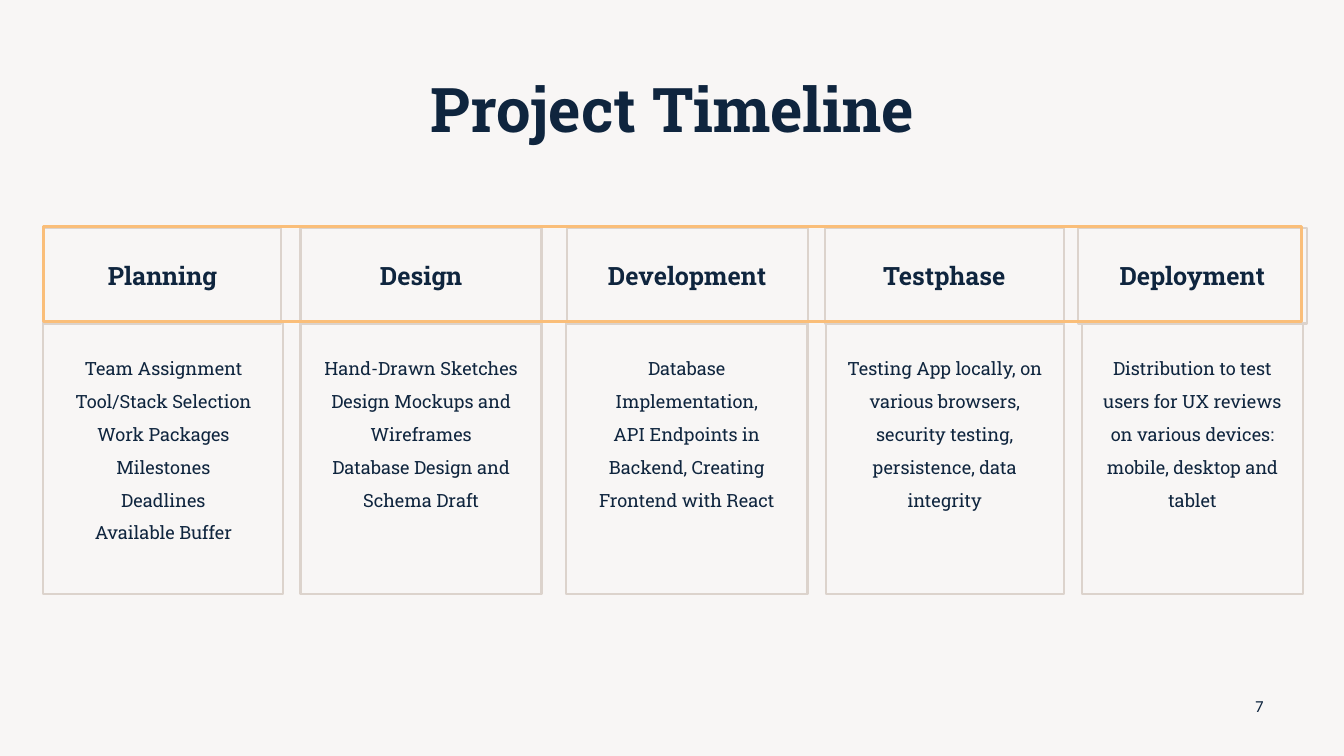
"""Build the project timeline slide: five phases under one highlighted band."""
from dataclasses import dataclass

import pptx
import pptx.dml.color
import pptx.enum.shapes
import pptx.enum.text
import pptx.util


@dataclass(frozen=True)
class Theme:
    """Hold the slide size, colours, fonts and type sizes."""
    width: float = 13.33
    height: float = 7.5
    paper: str = "F8F6F5"
    ink: str = "0F253E"
    frame: str = "DCD3CC"
    accent: str = "FABE79"
    slab: str = "Roboto Slab"
    plain: str = "Calibri"
    title: int = 44
    heading: int = 18
    body: int = 13
    number: int = 12


THEME = Theme()
HEADING_ROW = (30.13, 12.67)
BODY_ROW = (42.67, 35.87)
BAND = (3.23, 30, 93.62, 12.53)
TITLE_AREA = (27.38, 8.67, 45.31, 12.53)
NUMBER_AREA = (91.82, 90.67, 3.75, 5.33)

PHASES = [
    ("Planning", (3.23, 17.7), (3.23, 17.85),
     ["Team Assignment", "Tool/Stack Selection", "Work Packages",
      "Milestones", "Deadlines", "Available Buffer"]),
    ("Design", (22.36, 17.93), (22.36, 17.93),
     ["Hand-Drawn Sketches", "Design Mockups and Wireframes",
      "Database Design and Schema Draft"]),
    ("Development", (42.16, 17.93), (42.09, 18),
     ["Database Implementation,",
      "API Endpoints in Backend, Creating Frontend with React"]),
    ("Testphase", (61.37, 17.78), (61.44, 17.7),
     ["Testing App locally, on various browsers, security testing, "
      "persistence, data integrity"]),
    ("Deployment", (80.2, 17.03), (80.5, 16.43),
     ["Distribution to test users for UX reviews",
      "on various devices: mobile, desktop and tablet"]),
]


def colour(value):
    """Return a colour object for a hex value."""
    return pptx.dml.color.RGBColor.from_string(value)


def apply(target, formats):
    """Set each named attribute on the target."""
    for name, value in formats.items():
        setattr(target, name, value)


def place(area):
    """Turn percentages of the slide into left, top, width and height."""
    sides = (THEME.width, THEME.height) * 2
    return [pptx.util.Inches(share * side / 100) for share, side in zip(area, sides)]


def write(box, lines, size, font=THEME.slab, bold=False, spacing=1.0, top=None):
    """Write centred paragraphs; a top inset anchors them to the top."""
    anchors = pptx.enum.text.MSO_ANCHOR
    frame = box.text_frame
    apply(frame, {
        "word_wrap": True,
        "vertical_anchor": anchors.MIDDLE if top is None else anchors.TOP,
        "margin_top": pptx.util.Inches(0.05 if top is None else top),
    })
    for index, line in enumerate(lines):
        para = frame.add_paragraph() if index else frame.paragraphs[0]
        apply(para, {"alignment": pptx.enum.text.PP_ALIGN.CENTER,
                     "line_spacing": spacing})
        span = para.add_run()
        span.text = line
        apply(span.font, {"name": font, "size": pptx.util.Pt(size), "bold": bold})
        span.font.color.rgb = colour(THEME.ink)


def add_text(page, area, text, size, **formats):
    """Add a text box with one line of text."""
    write(page.shapes.add_textbox(*place(area)), [text], size, **formats)


def add_frame(page, area, line=THEME.frame, weight=1.5):
    """Add an unfilled outlined rectangle and return it."""
    box = page.shapes.add_shape(pptx.enum.shapes.MSO_SHAPE.RECTANGLE, *place(area))
    box.shadow.inherit = False
    box.fill.background()
    box.line.color.rgb = colour(line)
    box.line.width = pptx.util.Pt(weight)
    return box


def add_cell(page, column, row, lines, size, **formats):
    """Add a framed text cell at a column and row of the timeline."""
    (left, width), (top, height) = column, row
    write(add_frame(page, (left, top, width, height)), lines, size, **formats)


def main():
    """Build and save the deck."""
    deck = pptx.Presentation()
    apply(deck, {"slide_width": pptx.util.Inches(THEME.width),
                 "slide_height": pptx.util.Inches(THEME.height)})
    page = deck.slides.add_slide(deck.slide_layouts[6])
    page.background.fill.solid()
    page.background.fill.fore_color.rgb = colour(THEME.paper)

    add_text(page, TITLE_AREA, "Project Timeline", THEME.title, bold=True, spacing=0.9)
    for name, heading_column, body_column, tasks in PHASES:
        add_cell(page, heading_column, HEADING_ROW, [name], THEME.heading, bold=True)
        add_cell(page, body_column, BODY_ROW, tasks, THEME.body, spacing=1.5, top=0.24)
    add_text(page, NUMBER_AREA, "7", THEME.number, font=THEME.plain)
    add_frame(page, BAND, THEME.accent, 2.25)
    deck.save("out.pptx")


if __name__ == "__main__":
    main()
